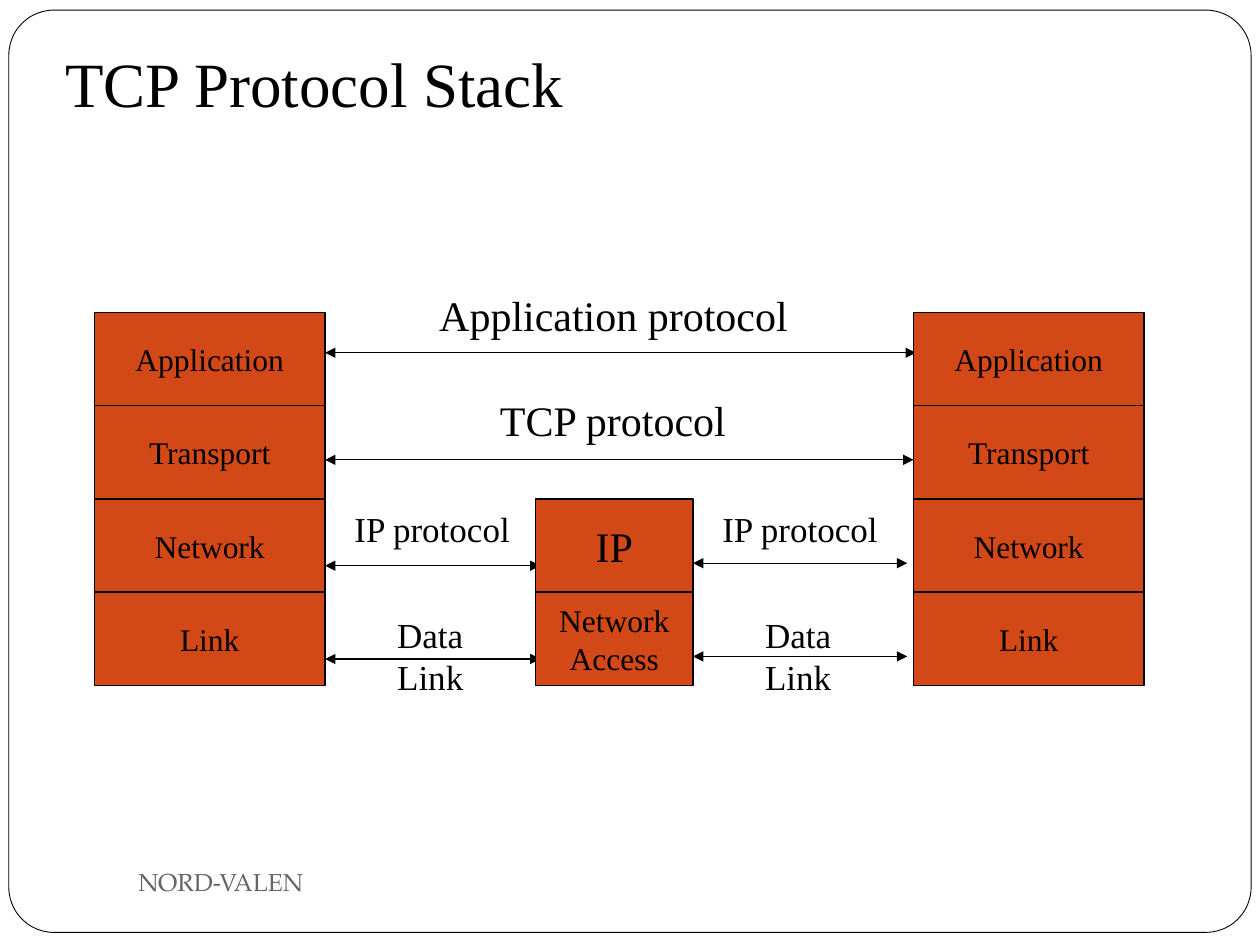
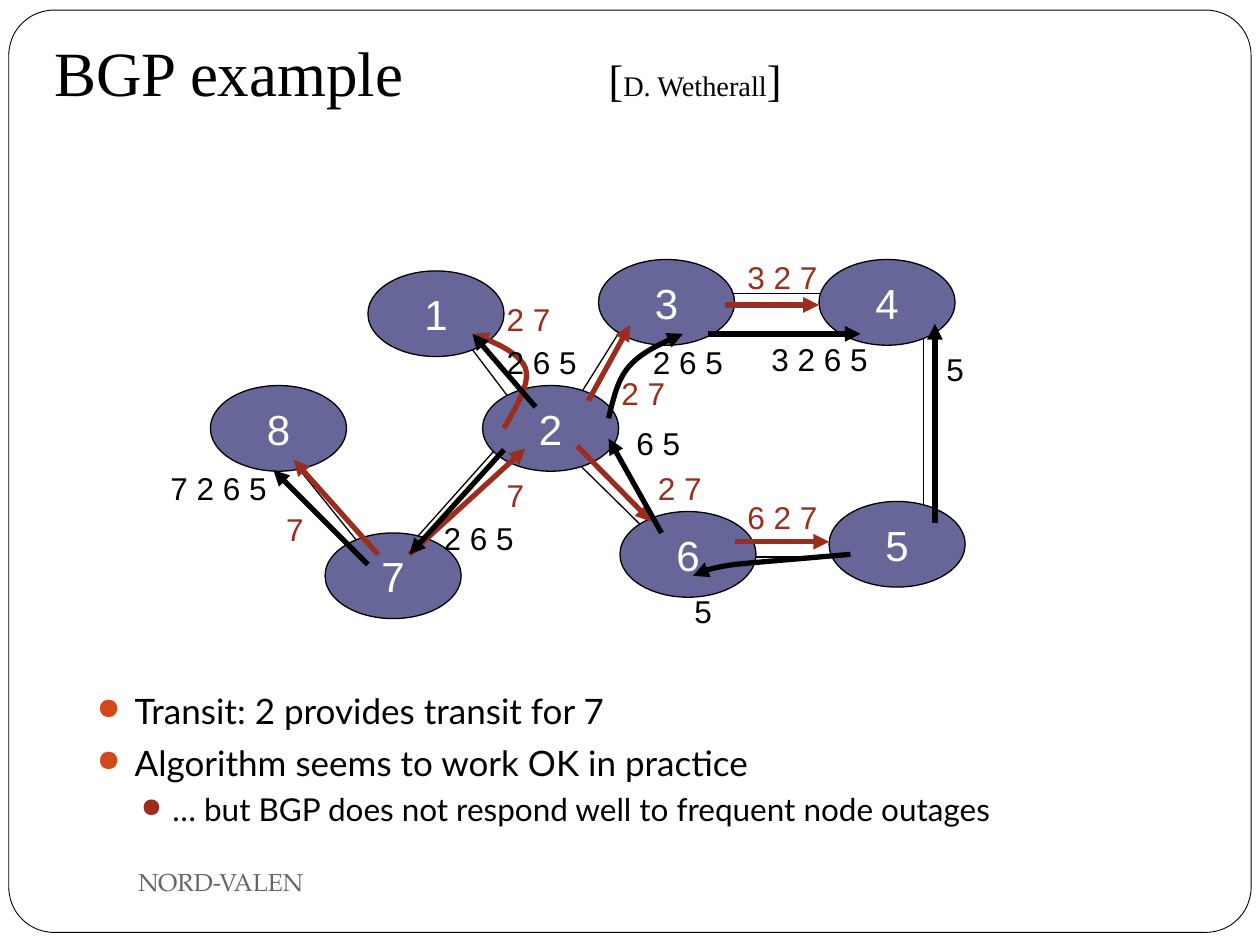
"""Build two networking slides: a protocol stack and a BGP routing example."""
from dataclasses import dataclass

from lxml.etree import SubElement
from pptx import Presentation
from pptx.dml.color import RGBColor
from pptx.enum.shapes import MSO_CONNECTOR, MSO_SHAPE
from pptx.enum.text import MSO_ANCHOR, MSO_AUTO_SIZE, PP_ALIGN
from pptx.oxml.ns import qn
from pptx.util import Cm, Pt

COLORS = {
    "ink": "000000",
    "paper": "FFFFFF",
    "layer": "D34817",
    "node": "666699",
    "route": "9B2D1F",
    "footer": "696464",
}
SERIF, SANS, BODY, FOOTER = "Times New Roman", "Arial", "Lato", "TeX Gyre Pagella"
FOOTER_TEXT = "NORD-VALEN"
ROW_HEIGHT = 0.74
STACK_TOP = 2.48
NODE_SIZE = (1.08, 0.68)
CURVE_STEPS = 12

Point = tuple[float, float]


@dataclass(frozen=True)
class Style:
    font: str
    size: float
    color: str = "ink"
    align: PP_ALIGN = PP_ALIGN.CENTER
    before: float = 0


@dataclass(frozen=True)
class Label:
    text: str
    left: float
    top: float
    width: float
    height: float
    style: Style
    wrap: bool = False


@dataclass(frozen=True)
class Stack:
    left: float
    width: float
    first_row: int
    layers: tuple[tuple[str, int], ...]


@dataclass(frozen=True)
class Arrow:
    start: Point
    end: Point
    color: str = "ink"
    width: float = 0.75
    head: bool = False
    tail: bool = False


@dataclass(frozen=True)
class Curve:
    color: str
    start: Point
    bends: tuple[tuple[Point, Point, Point], ...]


@dataclass(frozen=True)
class Bullet:
    text: str
    size: float
    color: str
    margin: float
    hang: float
    before: float


def length(inches: float) -> Cm:
    """Turn inches of the slide grid into a length."""
    return Cm(inches * 2.54)


def frame_of(*inches: float) -> list[Cm]:
    """Turn left, top, width and height into lengths."""
    return [length(value) for value in inches]


def rgb(name: str) -> RGBColor:
    """Look up a palette colour."""
    return RGBColor.from_string(COLORS[name])


def set_font(target, style: Style) -> None:
    """Apply a style to the font of a paragraph or run."""
    target.font.name = style.font
    target.font.size = Pt(style.size)
    target.font.color.rgb = rgb(style.color)


def format_para(para, style: Style) -> None:
    """Apply a style to a whole paragraph."""
    para.alignment = style.align
    para.space_before = Pt(style.before)
    set_font(para, style)


def add_ends(shape, head: bool, tail: bool) -> None:
    """Put triangles on the ends of an already coloured line."""
    outline = shape.element.spPr.find(qn("a:ln"))
    for tag, wanted in (("a:headEnd", head), ("a:tailEnd", tail)):
        if wanted:
            SubElement(outline, qn(tag), type="triangle")


def add_box(page, kind, place, fill: str, width: float = 0.75):
    """Add a filled preset shape with a black outline."""
    box = page.shapes.add_shape(kind, *frame_of(*place))
    box.shadow.inherit = False
    box.fill.solid()
    box.fill.fore_color.rgb = rgb(fill)
    box.line.color.rgb = rgb("ink")
    box.line.width = Pt(width)
    return box


def fill_box(box, text: str, style: Style, wrap: bool) -> None:
    """Write centred text in a shape."""
    box.text_frame.text = text
    box.text_frame.word_wrap = wrap
    box.text_frame.vertical_anchor = MSO_ANCHOR.MIDDLE
    format_para(box.text_frame.paragraphs[0], style)


def add_label(page, label: Label) -> None:
    """Add a text box that fits its text."""
    box = page.shapes.add_textbox(*frame_of(label.left, label.top, label.width, label.height))
    box.text_frame.text = label.text
    box.text_frame.word_wrap = label.wrap
    box.text_frame.auto_size = MSO_AUTO_SIZE.SHAPE_TO_FIT_TEXT
    format_para(box.text_frame.paragraphs[0], label.style)


def add_arrow(page, arrow: Arrow) -> None:
    """Add a straight line with optional arrowheads."""
    line = page.shapes.add_connector(MSO_CONNECTOR.STRAIGHT, *frame_of(*arrow.start, *arrow.end))
    line.line.color.rgb = rgb(arrow.color)
    line.line.width = Pt(arrow.width)
    add_ends(line, arrow.head, arrow.tail)
    SubElement(line.element.spPr, qn("a:effectLst"))


def bezier(points: tuple[Point, ...], t: float) -> Point:
    """Return the point at t on a cubic curve."""
    weights = ((1 - t) ** 3, 3 * t * (1 - t) ** 2, 3 * t * t * (1 - t), t ** 3)
    x, y = (sum(w * p[axis] for w, p in zip(weights, points)) for axis in (0, 1))
    return x, y


def add_curve(page, curve: Curve) -> None:
    """Add a bent route that ends in an arrowhead."""
    points, start = [], curve.start
    for bend in curve.bends:
        points += [bezier((start, *bend), step / CURVE_STEPS) for step in range(1, CURVE_STEPS + 1)]
        start = bend[-1]
    builder = page.shapes.build_freeform(*frame_of(*curve.start))
    builder.add_line_segments([frame_of(*point) for point in points], close=False)
    shape = builder.convert_to_shape()
    shape.shadow.inherit = False
    shape.fill.background()
    shape.line.color.rgb = rgb(curve.color)
    shape.line.width = Pt(3)
    add_ends(shape, False, True)


def add_page(deck, left: float, top: float, title: str):
    """Add a title-only page with its title and footer."""
    page = deck.slides.add_slide(deck.slide_layouts[5])
    box = page.shapes.title
    box.left, box.top, box.width, box.height = frame_of(left, top, 8.5, 0.72)
    text = box.text_frame
    text.text = title
    text.auto_size = MSO_AUTO_SIZE.NONE
    text.vertical_anchor = MSO_ANCHOR.BOTTOM
    text.margin_left, text.margin_top, text.margin_right, text.margin_bottom = frame_of(0.1, 0.05, 0.1, 0.1)
    format_para(text.paragraphs[0], Style(SERIF, 36, align=PP_ALIGN.LEFT))
    footer = page.shapes.add_textbox(*frame_of(1, 6.75, 4.33, 0.5))
    fill_box(footer, FOOTER_TEXT, Style(FOOTER, 14, "footer", PP_ALIGN.LEFT), True)
    return page


def add_border(deck, page) -> None:
    """Draw the rounded border and move it to the shared layout."""
    border = add_box(page, MSO_SHAPE.ROUNDED_RECTANGLE, (0.07, 0.08, 9.86, 7.32), "paper", 0.5)
    border.adjustments[0] = 0.049
    deck.slide_layouts[5].shapes.element.insert(2, border.element)


def add_stack(page, stack: Stack) -> None:
    """Draw protocol layers on top of each other."""
    for row, (name, size) in enumerate(stack.layers, stack.first_row):
        place = (stack.left, STACK_TOP + row * ROW_HEIGHT, stack.width, ROW_HEIGHT)
        box = add_box(page, MSO_SHAPE.RECTANGLE, place, "layer")
        fill_box(box, name, Style(SERIF, size, before=size / 10), " " in name)


def add_bullets(page, bullets: list[Bullet]) -> None:
    """Add the bulleted remarks."""
    text = page.shapes.add_textbox(*frame_of(0.67, 5.42, 8.58, 1.83)).text_frame
    text.word_wrap = True
    for index, bullet in enumerate(bullets):
        para = text.add_paragraph() if index else text.paragraphs[0]
        para.text = bullet.text
        properties = para._p.get_or_add_pPr()
        properties.set("marL", str(length(bullet.margin)))
        properties.set("indent", str(length(-bullet.hang)))
        SubElement(SubElement(properties, qn("a:buClr")), qn("a:srgbClr"), val=COLORS[bullet.color])
        SubElement(properties, qn("a:buSzPct"), val="85000")
        SubElement(properties, qn("a:buChar"), char="●")
        format_para(para, Style(BODY, bullet.size, align=PP_ALIGN.LEFT, before=bullet.before))


def build_stack_page(deck) -> None:
    """Build the protocol stack page."""
    page = add_page(deck, 0.42, 0.33, "TCP Protocol Stack")
    add_border(deck, page)
    for left, right, y in ((2.58, 7.27, 2.8), (2.58, 7.25, 3.65), (2.58, 4.29, 4.49),
                           (2.58, 4.29, 5.23), (5.5, 7.2, 4.47), (5.5, 7.2, 5.21)):
        add_arrow(page, Arrow((left, y), (right, y), head=True, tail=True))
    layers = tuple((name, 18) for name in ("Application", "Transport", "Network", "Link"))
    for stack in (Stack(0.75, 1.83, 0, layers), Stack(7.25, 1.83, 0, layers),
                  Stack(4.25, 1.25, 2, (("IP", 24), ("Network Access", 18)))):
        add_stack(page, stack)
    large, small = Style(SERIF, 24, before=2.4), Style(SERIF, 20, before=2)
    add_label(page, Label("Application protocol", 3.32, 2.25, 3.1, 0.5, large))
    add_label(page, Label("TCP protocol", 3.83, 3.08, 2.07, 0.5, large))
    for shift in (0, 2.92):
        add_label(page, Label("IP protocol", 2.71 + shift, 3.98, 1.44, 0.44, small))
        add_label(page, Label("Data Link", 3 + shift, 4.82, 0.83, 0.77, small, True))


def build_routing_page(deck) -> None:
    """Build the BGP example page."""
    page = add_page(deck, 0.33, 0.25, "BGP example\t")
    para = page.shapes.title.text_frame.paragraphs[0]
    tabs = para._p.pPr.makeelement(qn("a:tabLst"))
    SubElement(tabs, qn("a:tab"), pos=str(length(4.4)), algn="l")
    para._p.pPr.find(qn("a:defRPr")).addprevious(tabs)
    for text, size in (("[", 25.2), ("D. Wetherall", 16.2), ("]", 25.2)):
        span = para.add_run()
        span.text = text
        span.font.size = Pt(size)
    add_bullets(page, [
        Bullet("Transit: 2 provides transit for 7", 20, "layer", 0.3, 0.3, 5.8),
        Bullet("Algorithm seems to work OK in practice", 20, "layer", 0.3, 0.3, 5.8),
        Bullet("… but BGP does not respond well to frequent node outages", 18, "route", 0.6, 0.25, 3.7),
    ])
    for start, end in (((2.33, 3.67), (3, 4.5)), ((3.92, 3.58), (3.25, 4.33)),
                       ((7.33, 2.67), (7.33, 4.08)), ((4.58, 3.67), (5.17, 4.25)),
                       ((5, 2.5), (4.58, 3.17)), ((3.67, 2.67), (4.17, 3.33)),
                       ((5.75, 2.33), (6.58, 2.33)), ((5.83, 4.42), (6.75, 4.42))):
        add_arrow(page, Arrow(start, end))
    for name, left, top in (("3", 4.75, 2.06), ("4", 6.5, 2.06), ("6", 4.92, 4.06), ("5", 6.58, 3.98),
                            ("7", 2.58, 4.23), ("1", 2.92, 2.15), ("8", 1.67, 3.06), ("2", 3.83, 3.06)):
        node = add_box(page, MSO_SHAPE.OVAL, (left, top, *NODE_SIZE), "node")
        fill_box(node, name, Style(SANS, 24, "paper"), True)
    routes = {
        "route": (((3, 4.4), (2.33, 3.65)), ((3.25, 4.4), (4.17, 3.56)), ((4.58, 3.54), (5.17, 4.14)),
                  ((4.67, 3.18), (5, 2.58)), ((5.83, 4.3), (6.58, 4.3)), ((5.75, 2.42), (6.5, 2.42))),
        "ink": (((4.25, 3.23), (3.75, 2.65)), ((4, 3.57), (3.25, 4.4)), ((5.62, 2.65), (6.83, 2.65)),
                ((2.92, 4.48), (2.17, 3.73)), ((5.25, 4.23), (4.83, 3.48)), ((7.42, 4.15), (7.42, 2.57))),
    }
    curves = (
        Curve("route", (4, 3.4), (((4.1, 3.22), (4.21, 3.05), (4.17, 2.92)),
                                  ((4.12, 2.8), (3.94, 2.72), (3.75, 2.65)))),
        Curve("ink", (4.83, 3.32), (((4.87, 3.16), (4.9, 3.01), (5, 2.9)),
                                    ((5.1, 2.79), (5.26, 2.72), (5.42, 2.65)))),
        Curve("ink", (6.75, 4.4), (((6.4, 4.43), (6.04, 4.46), (5.83, 4.48)),
                                   ((5.62, 4.51), (5.56, 4.54), (5.5, 4.57)))),
    )
    labels = {
        "route": (("7", 3.92, 3.73), ("7", 2.17, 4), ("2 7", 3.92, 2.33), ("2 7", 4.83, 2.92),
                  ("2 7", 5.12, 3.67), ("3 2 7", 5.83, 2), ("6 2 7", 5.83, 3.9)),
        "ink": (("2 6 5", 5.08, 2.67), ("2 6 5", 3.92, 2.67), ("2 6 5", 3.42, 4.07), ("3 2 6 5", 6.02, 2.65),
                ("7 2 6 5", 1.25, 3.67), ("6 5", 4.95, 3.32), ("5", 7.41, 2.73), ("5", 5.41, 4.65)),
    }
    for color in ("route", "ink"):
        for start, end in routes[color]:
            add_arrow(page, Arrow(start, end, color, 3, tail=True))
        for curve in curves:
            if curve.color == color:
                add_curve(page, curve)
        for text, left, top in labels[color]:
            width = 0.34 + 0.21 * text.count(" ")
            add_label(page, Label(text, left, top, width, 0.4, Style(SANS, 18, color)))


def main() -> None:
    """Build and save the deck."""
    deck = Presentation()
    deck.slide_width, deck.slide_height = length(10), length(7.5)
    build_stack_page(deck)
    build_routing_page(deck)
    deck.save("out.pptx")


main()
